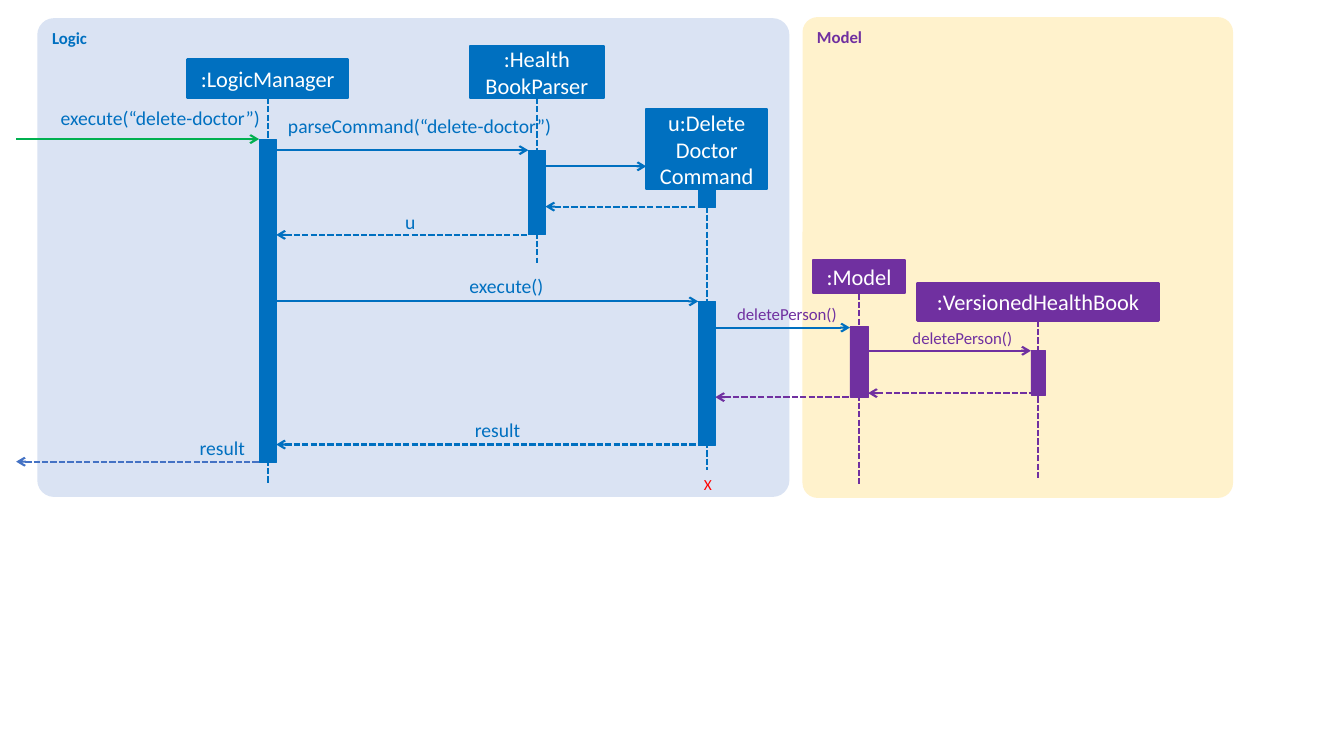
"""Build a sequence diagram of the delete-doctor command."""
from lxml import etree
from pptx import Presentation
from pptx.dml.color import RGBColor
from pptx.enum.dml import MSO_LINE
from pptx.enum.shapes import MSO_CONNECTOR, MSO_SHAPE
from pptx.enum.text import MSO_ANCHOR, PP_ALIGN
from pptx.oxml.ns import qn
from pptx.util import Inches, Pt

RECTANGLE, ROUNDED = MSO_SHAPE.RECTANGLE, MSO_SHAPE.ROUNDED_RECTANGLE
STRAIGHT, DASHED = MSO_CONNECTOR.STRAIGHT, MSO_LINE.SQUARE_DOT
TOP, MIDDLE = MSO_ANCHOR.TOP, MSO_ANCHOR.MIDDLE
LEFT, CENTER, RIGHT = PP_ALIGN.LEFT, PP_ALIGN.CENTER, PP_ALIGN.RIGHT
BOTTOM_SITE = 2
FONT = "Calibri"
BLUE, PURPLE, GREEN, INDIGO = "0070C0", "7030A0", "00B050", "4472C4"
WHITE, RED = "FFFFFF", "FF0000"

PANELS = [
    ("Model", (7.96, 0.17, 4.27, 4.77), "FFF2CC", PURPLE),
    ("Logic", (0.37, 0.18, 7.46, 4.75), "DAE3F3", BLUE),
]

# name: title lines, title box, colour, lifeline end
PARTICIPANTS = {
    "manager": ([[":LogicManager"]], (1.86, 0.59, 1.59, 0.38), BLUE, 4.8),
    "parser": ([[":Health"], ["BookParser"]], (4.66, 0.46, 1.33, 0.51), BLUE, 2.61),
    "command": ([["u:Delete"], ["Doctor", "Command"]], (6.41, 1.08, 1.2, 0.8), BLUE, 4.66),
    "model": ([[":Model"]], (8.06, 2.58, 0.92, 0.33), PURPLE, 4.8),
    "book": ([[":VersionedHealthBook"]], (9.1, 2.81, 2.39, 0.37), PURPLE, 4.75),
}

# participant, top, bottom
ACTIVATIONS = [
    ("manager", 1.38, 4.59),
    ("parser", 1.49, 2.33),
    ("command", 1.88, 2.06),
    ("command", 2.99, 4.42),
    ("model", 3.24, 3.94),
    ("book", 3.48, 3.92),
]
BAR_WIDTHS = {"manager": 0.17, "parser": 0.17, "command": 0.17, "model": 0.18, "book": 0.14}
CALLER_X = 0.16

# left participant, right participant, height on the slide, colour
CALLS = [
    ("caller", "manager", 1.38, GREEN),
    ("manager", "parser", 1.49, BLUE),
    ("parser", "command title", 1.65, BLUE),
    ("manager", "command", 2.99, BLUE),
    ("command", "model", 3.25, BLUE),
    ("model", "book", 3.48, PURPLE),
]
REPLIES = [
    ("parser", "command", 2.05, BLUE),
    ("manager", "parser", 2.33, BLUE),
    ("model", "book", 3.9, PURPLE),
    ("command", "model", 3.94, PURPLE),
    ("manager", "command", 4.41, BLUE),
    ("caller", "manager", 4.58, INDIGO),
]

# text, right edge, top, width, size, colour
LABELS = [
    ("execute(“delete-doctor”)", 2.58, 1.05, 2.28, 14, BLUE),
    ("parseCommand(“delete-doctor”)", 5.47, 1.13, 3.04, 14, BLUE),
    ("u", 4.12, 2.08, 0.24, 14, BLUE),
    ("execute()", 5.39, 2.72, 0.94, 14, BLUE),
    ("deletePerson()", 8.3, 3.01, 1.08, 12, PURPLE),
    ("deletePerson()", 10.04, 3.25, 1.12, 12, PURPLE),
    ("result", 5.16, 4.15, 0.68, 14, BLUE),
    ("result", 2.43, 4.32, 0.83, 14, BLUE),
    ("X", 7.06, 4.71, 0.2, 11, RED),
]


def color(value):
    return RGBColor.from_string(value)


def write(shape, paragraphs, size, text_color, align, anchor, bold=False):
    frame = shape.text_frame
    frame.word_wrap = True
    frame.vertical_anchor = anchor
    for index, lines in enumerate(paragraphs):
        paragraph = frame.add_paragraph() if index else frame.paragraphs[0]
        paragraph.alignment = align
        for number, text in enumerate(lines):
            if number:
                paragraph.add_line_break()
            run = paragraph.add_run()
            run.text = text
            run.font.name = FONT
            run.font.size = Pt(size)
            run.font.bold = bold
            run.font.color.rgb = color(text_color)


def add_block(slide, kind, box, fill, line_width=0):
    shape = slide.shapes.add_shape(kind, *map(Inches, box))
    shape.shadow.inherit = False
    shape.fill.solid()
    shape.fill.fore_color.rgb = color(fill)
    if line_width:
        shape.line.color.rgb = color(fill)
        shape.line.width = Pt(line_width)
    else:
        shape.line.fill.background()
    return shape


def add_line(slide, start, end, line_color, dashed=False, arrow=None):
    connector = slide.shapes.add_connector(STRAIGHT, *map(Inches, start + end))
    connector.line.color.rgb = color(line_color)
    connector.line.width = Pt(1.5)
    if dashed:
        connector.line.dash_style = DASHED
    if arrow:
        outline = connector.line._get_or_add_ln()
        etree.SubElement(outline, qn(arrow)).set("type", "arrow")
    etree.SubElement(connector._element.spPr, qn("a:effectLst"))
    return connector


def bar_edges():
    edges = {"caller": (CALLER_X, CALLER_X)}
    for name, width in BAR_WIDTHS.items():
        left, _, title_width, _ = PARTICIPANTS[name][1]
        axis = left + title_width / 2
        edges[name] = (axis - width / 2, axis + width / 2)
    title_left = PARTICIPANTS["command"][1][0]
    edges["command title"] = (title_left, title_left)
    return edges


def main():
    presentation = Presentation()
    presentation.slide_width, presentation.slide_height = Inches(13.33), Inches(7.5)
    slide = presentation.slides.add_slide(presentation.slide_layouts[6])
    edges = bar_edges()

    for name, box, fill, text_color in PANELS:
        panel = add_block(slide, ROUNDED, box, fill)
        panel.adjustments[0] = 0.035
        write(panel, [[name]], 12, text_color, LEFT, TOP, bold=True)

    for title, box, fill, lifeline_end in PARTICIPANTS.values():
        left, top, width, height = box
        axis = left + width / 2
        head = add_block(slide, RECTANGLE, box, fill, 1.5)
        write(head, title, 16, WHITE, CENTER, MIDDLE)
        lifeline = add_line(slide, (axis, top + height), (axis, lifeline_end), fill, dashed=True)
        lifeline.begin_connect(head, BOTTOM_SITE)

    for name, top, bottom in ACTIVATIONS:
        left, right = edges[name]
        add_block(slide, RECTANGLE, (left, top, right - left, bottom - top),
                  PARTICIPANTS[name][2], 0.5)

    for messages, dashed, arrow in ((CALLS, False, "a:tailEnd"), (REPLIES, True, "a:headEnd")):
        for source, target, y, line_color in messages:
            add_line(slide, (edges[source][1], y), (edges[target][0], y),
                     line_color, dashed, arrow)

    for text, right, top, width, size, text_color in LABELS:
        label = slide.shapes.add_textbox(*map(Inches, (right - width, top, width, size / 60)))
        frame = label.text_frame
        frame.margin_left = frame.margin_right = frame.margin_top = frame.margin_bottom = 0
        write(label, [[text]], size, text_color, RIGHT, TOP)

    presentation.save("out.pptx")


if __name__ == "__main__":
    main()
